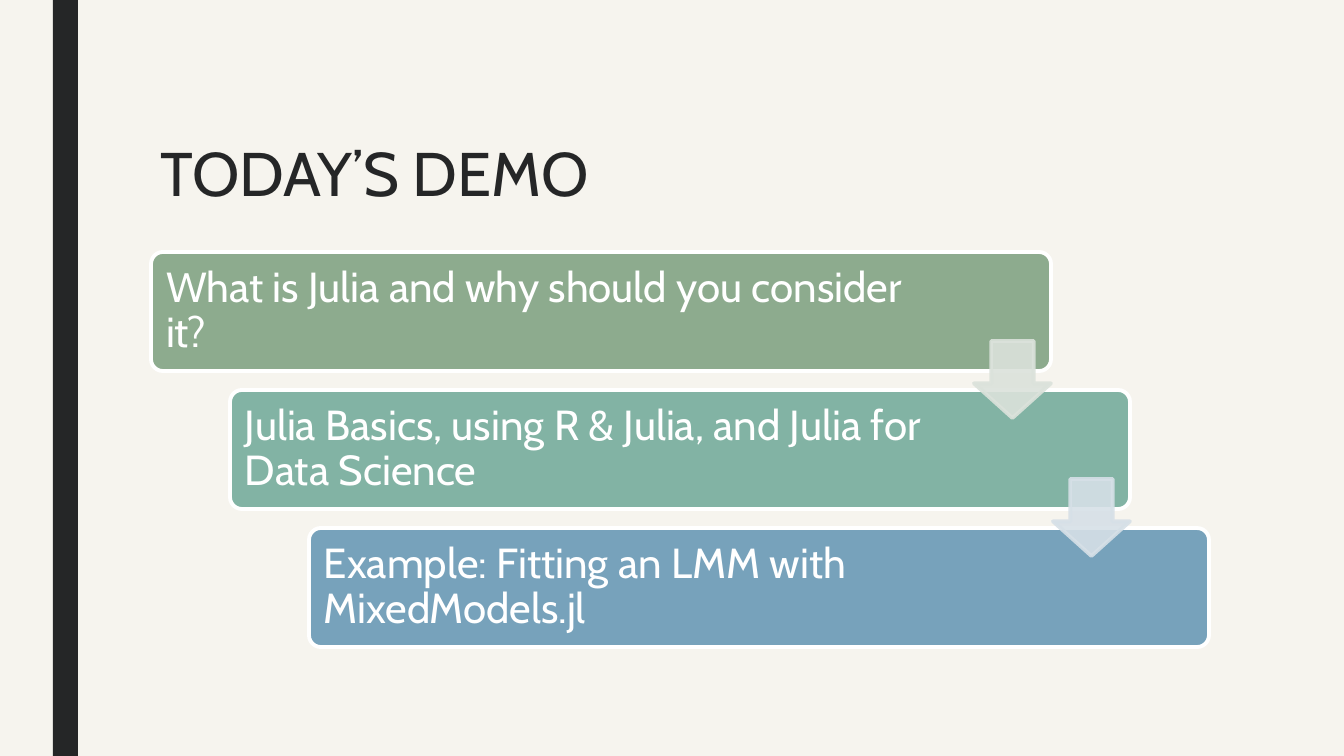
import pptx
import pptx.dml.color
import pptx.enum.shapes
import pptx.enum.text
import pptx.oxml
import pptx.oxml.ns
import pptx.util

RGBColor = pptx.dml.color.RGBColor
SHAPE = pptx.enum.shapes.MSO_SHAPE
ANCHOR = pptx.enum.text.MSO_ANCHOR

PX = 914400 / 100.8
FONT = "Cabin"
PAPER = RGBColor(0xF6, 0xF4, 0xEE)
INK = RGBColor(0x25, 0x26, 0x27)
WHITE = RGBColor(0xFF, 0xFF, 0xFF)
SAGE = RGBColor(0x8D, 0xAB, 0x8E)
TEAL = RGBColor(0x82, 0xB3, 0xA4)
BLUE = RGBColor(0x77, 0xA2, 0xBB)
PALE_SAGE = RGBColor(0xDB, 0xE2, 0xDB)
PALE_BLUE = RGBColor(0xD6, 0xE0, 0xE7)

# Topic, width of its text, step colour, colour of the arrow to the next step
STEPS = [
    ("What is Julia and why should you consider it?", 772, SAGE, PALE_SAGE),
    ("Julia Basics, using R & Julia, and Julia for Data Science", 736, TEAL, PALE_BLUE),
    ("Example: Fitting an LMM with MixedModels.jl", 736, BLUE, None),
]


def emu(*lengths):
    return [pptx.util.Emu(round(length * PX)) for length in lengths]


def add_text(slide, text, box, size, color, spacing=0.9, anchor=ANCHOR.TOP, inset=(10, 5)):
    frame = slide.shapes.add_textbox(*emu(*box)).text_frame
    frame.word_wrap = True
    frame.vertical_anchor = anchor
    frame.margin_left, frame.margin_top = emu(*inset)
    frame.margin_right, frame.margin_bottom = emu(*inset)
    paragraph = frame.paragraphs[0]
    paragraph.line_spacing = spacing
    run = paragraph.add_run()
    run.text = text
    run.font.name = FONT
    run.font.size = pptx.util.Pt(size)
    run.font.color.rgb = color


def add_block(slide, kind, box, fill, line=None, adjustments=(), opacity=100):
    block = slide.shapes.add_shape(kind, *emu(*box))
    block.shadow.inherit = False
    block.fill.solid()
    block.fill.fore_color.rgb = fill
    if line is None:
        block.line.fill.background()
    else:
        block.line.color.rgb = line
        block.line.width = pptx.util.Pt(2.75)
    for index, value in enumerate(adjustments):
        block.adjustments[index] = value
    if opacity < 100:
        for color in block._element.spPr.iter(pptx.oxml.ns.qn("a:srgbClr")):
            alpha = pptx.oxml.parse_xml(
                f'<a:alpha {pptx.oxml.ns.nsdecls("a")} val="{opacity * 1000}"/>')
            color.append(alpha)


def add_staircase(slide, left, top, width, height):
    """Place the steps from top left to bottom right, then the arrows over them."""
    step_width, step_height = 900, 119
    shift = (width - step_width) / (len(STEPS) - 1)
    drop = (height - step_height) / (len(STEPS) - 1)
    corners = [(left + i * shift, top + i * drop) for i in range(len(STEPS))]
    for (x, y), (topic, text_width, color, _) in zip(corners, STEPS):
        add_block(slide, SHAPE.ROUNDED_RECTANGLE, (x, y, step_width, step_height),
                  color, WHITE, [0.1])
        add_text(slide, topic, (x + 3, y + 3, text_width, step_height - 6), 30, WHITE,
                 anchor=ANCHOR.MIDDLE, inset=(12, 12))
    arrow_size = 77
    for (x, y), (_, _, _, pale) in zip(corners, STEPS):
        if pale is not None:
            arrow_box = (x + step_width - arrow_size, y + 89, arrow_size, arrow_size)
            add_block(slide, SHAPE.DOWN_ARROW, arrow_box, pale, pale, [0.55, 0.45], opacity=90)


def add_demo_slide(deck):
    slide = deck.slides.add_slide(deck.slide_layouts[6])
    slide.background.fill.solid()
    slide.background.fill.fore_color.rgb = PAPER
    add_block(slide, SHAPE.RECTANGLE, (53, 0, 25, 756), INK)
    add_text(slide, "TODAY’S DEMO", (151, 139, 1058, 163), 44, INK, spacing=0.89)
    add_staircase(slide, 151, 252, 1058, 395)


def main():
    deck = pptx.Presentation()
    deck.slide_width, deck.slide_height = emu(1344, 756)
    add_demo_slide(deck)
    deck.save("out.pptx")


if __name__ == "__main__":
    main()
